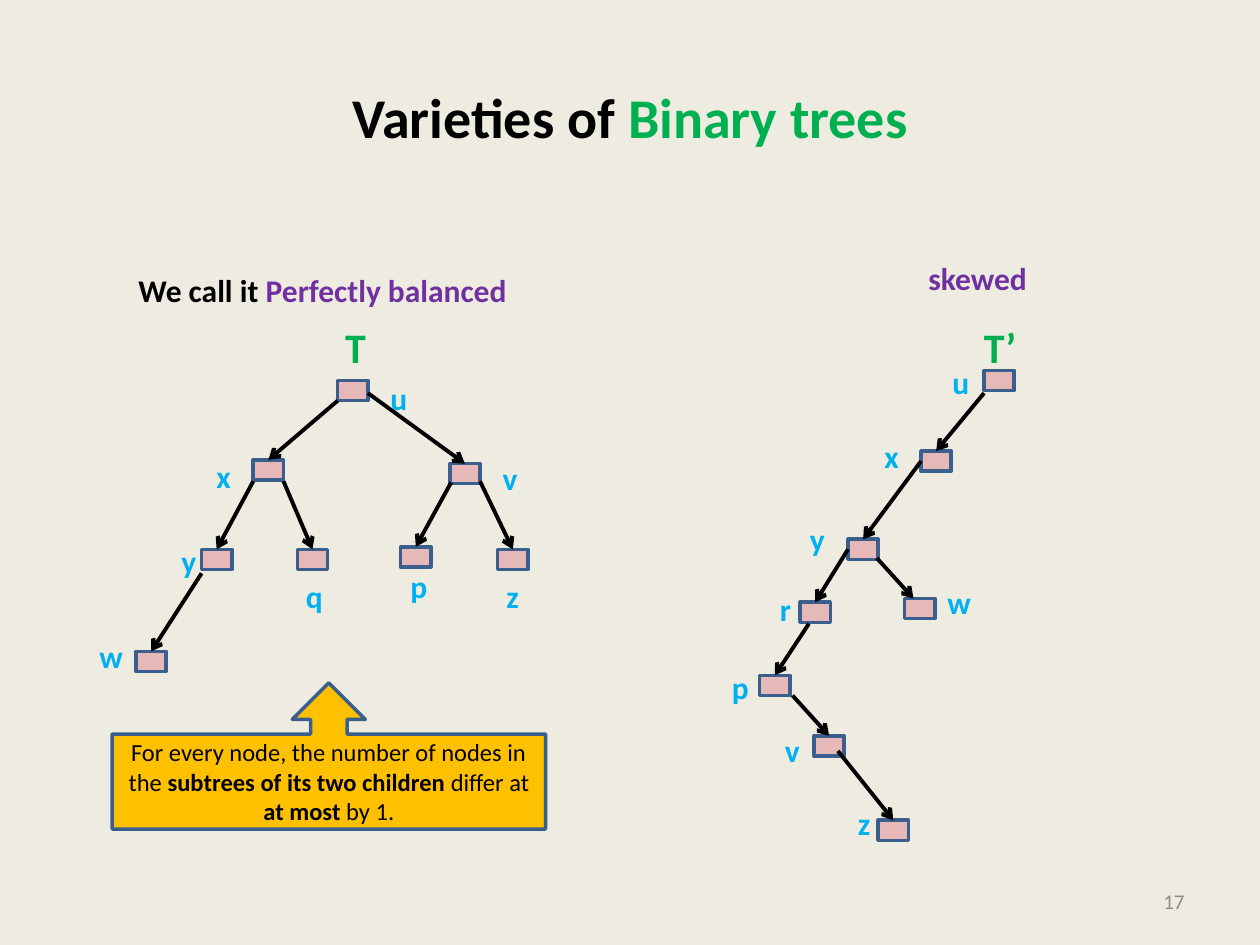
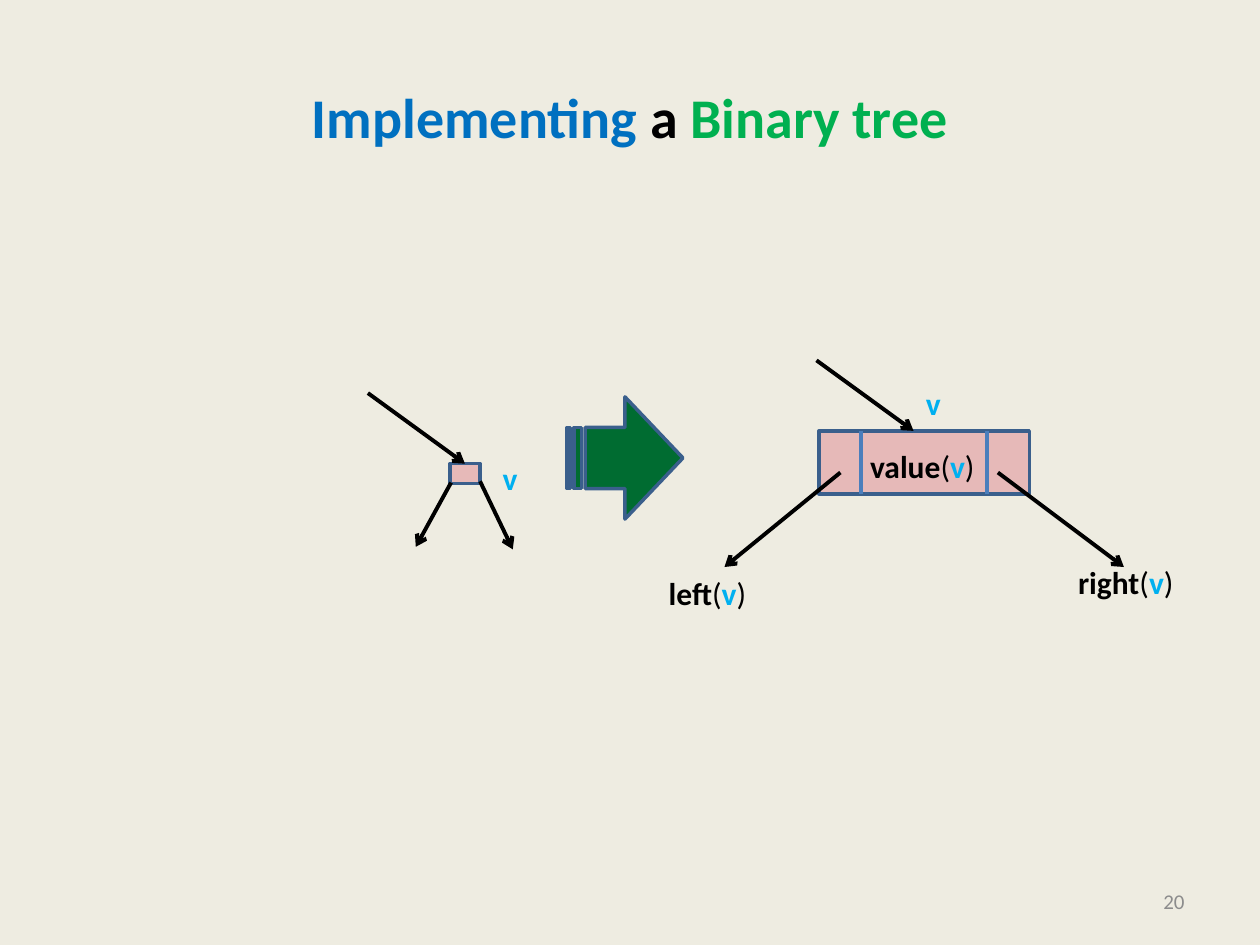
from dataclasses import dataclass
from typing import NamedTuple, Optional, Union

from lxml.etree import SubElement
from pptx import Presentation
from pptx.dml.color import RGBColor
from pptx.enum.shapes import MSO_CONNECTOR, MSO_SHAPE
from pptx.enum.text import MSO_ANCHOR, MSO_AUTO_SIZE as AutoSize, PP_ALIGN as Align
from pptx.oxml.ns import qn
from pptx.shapes.autoshape import Shape
from pptx.shapes.connector import Connector
from pptx.slide import Slide
from pptx.text.text import TextFrame
from pptx.util import Inches, Pt


@dataclass(frozen=True)
class Theme:
    font: str = "Calibri"
    background: str = "EEECE1"
    black: str = "000000"
    green: str = "00B050"
    blue: str = "0070C0"
    purple: str = "7030A0"
    label: str = "00B0F0"
    number: str = "8C8C8C"
    node: str = "E6B9B8"
    outline: str = "3A5F8C"
    divider: str = "4B7EBC"
    callout: str = "FFC000"
    block_arrow: str = "006C31"
    title_size: float = 32
    tree_size: float = 24
    body_size: float = 18
    callout_size: float = 14
    number_size: float = 12
    outline_width: float = 2
    arrow_width: float = 2.25


THEME = Theme()
NODE_WIDTH, NODE_HEIGHT = 0.24, 0.16
LABEL_HEIGHT = 0.3
LABEL_WIDTHS = {"r": 0.22, "z": 0.23, "x": 0.24, "v": 0.25, "y": 0.25,
                "u": 0.26, "p": 0.26, "q": 0.26, "w": 0.39}
TOP, LEFT = 0, 1  # connection sites of a rectangle


class Box(NamedTuple):
    left: float
    top: float
    width: float
    height: float


class Point(NamedTuple):
    x: float
    y: float


class Run(NamedTuple):
    text: str
    color: str = THEME.black
    bold: bool = True


class Node(NamedTuple):
    name: str
    corner: Point
    label: Point


class Joint(NamedTuple):
    name: str
    site: int = TOP


class Arrow(NamedTuple):
    start: Union[Point, Joint]
    end: Union[Point, Joint]


class Tree(NamedTuple):
    nodes: list[Node]
    arrows: list[Arrow]


# Tree data
V_NODE = Node("v", Point(3.57, 3.68), Point(3.89, 3.59))
V_IN, V_LEFT, V_RIGHT = Point(2.92, 3.12), Point(3.58, 3.83), Point(3.81, 3.82)

BALANCED_TREE = Tree(
    [Node("u", Point(2.68, 3.02), Point(3, 2.96)),
     Node("x", Point(2.01, 3.65), Point(1.62, 3.58)),
     V_NODE,
     Node("y", Point(1.6, 4.36), Point(1.34, 4.25)),
     Node("q", Point(2.36, 4.36), Point(2.33, 4.53)),
     Node("p", Point(3.18, 4.34), Point(3.16, 4.45)),
     Node("z", Point(3.95, 4.36), Point(3.92, 4.53)),
     Node("w", Point(1.08, 5.17), Point(0.69, 5.01))],
    [Arrow(Point(2.68, 3.18), Joint("x")),
     Arrow(V_IN, Joint("v")),
     Arrow(Point(2.01, 3.82), Joint("y")),
     Arrow(Point(2.25, 3.82), Joint("q")),
     Arrow(V_LEFT, Joint("p")),
     Arrow(V_RIGHT, Joint("z")),
     Arrow(Point(1.6, 4.55), Joint("w"))])

SKEWED_TREE = Tree(
    [Node("u", Point(7.81, 2.94), Point(7.46, 2.83)),
     Node("x", Point(7.31, 3.58), Point(6.92, 3.42)),
     Node("y", Point(6.73, 4.28), Point(6.33, 4.08)),
     Node("r", Point(6.35, 4.78), Point(6.09, 4.63)),
     Node("w", Point(7.18, 4.75), Point(7.42, 4.58)),
     Node("p", Point(6.03, 5.36), Point(5.71, 5.25)),
     Node("v", Point(6.46, 5.84), Point(6.13, 5.75)),
     Node("z", Point(6.97, 6.51), Point(6.71, 6.33))],
    [Arrow(Point(7.81, 3.12), Joint("x")),
     Arrow(Joint("x", LEFT), Joint("y")),
     Arrow(Joint("y", LEFT), Joint("r")),
     Arrow(Point(6.96, 4.43), Point(7.25, 4.75)),
     Arrow(Point(6.42, 4.95), Joint("p")),
     Arrow(Point(6.29, 5.52), Joint("v")),
     Arrow(Point(6.65, 5.96), Joint("z"))])

SINGLE_NODE = Tree(
    [V_NODE],
    [Arrow(V_IN, Joint("v")),
     Arrow(V_LEFT, Point(3.3, 4.34)),
     Arrow(V_RIGHT, Point(4.07, 4.36))])


# Drawing functions
def rgb(color: str) -> RGBColor:
    return RGBColor.from_string(color)


def write(frame: TextFrame, runs: list[Run], *, size: float = THEME.body_size,
          align: Align = Align.LEFT, anchor: MSO_ANCHOR = MSO_ANCHOR.TOP) -> None:
    frame.vertical_anchor = anchor
    paragraph = frame.paragraphs[0]
    paragraph.alignment = align
    for part in runs:
        run = paragraph.add_run()
        run.text = part.text
        run.font.name = THEME.font
        run.font.size = Pt(size)
        run.font.bold = part.bold
        run.font.color.rgb = rgb(part.color)


def place(box: Box) -> list[int]:
    return [Inches(length) for length in box]


def add_label(slide: Slide, box: Box, runs: list[Run], *, wrap: bool = False,
              **text_format) -> None:
    frame = slide.shapes.add_textbox(*place(box)).text_frame
    frame.word_wrap = wrap
    frame.auto_size = AutoSize.NONE if wrap else AutoSize.SHAPE_TO_FIT_TEXT
    write(frame, runs, **text_format)


def add_filled(slide: Slide, kind: MSO_SHAPE, box: Box, fill: str) -> Shape:
    shape = slide.shapes.add_shape(kind, *place(box))
    shape.shadow.inherit = False
    shape.fill.solid()
    shape.fill.fore_color.rgb = rgb(fill)
    shape.line.color.rgb = rgb(THEME.outline)
    shape.line.width = Pt(THEME.outline_width)
    return shape


def add_line(slide: Slide, start: Point, end: Point, *, color: str = THEME.black,
             arrowhead: bool = True) -> Connector:
    connector = slide.shapes.add_connector(
        MSO_CONNECTOR.STRAIGHT, *[Inches(length) for length in (*start, *end)])
    connector.line.color.rgb = rgb(color)
    connector.line.width = Pt(THEME.arrow_width)
    properties = connector.element.spPr
    if arrowhead:
        SubElement(properties.find(qn("a:ln")), qn("a:tailEnd"), type="arrow")
    SubElement(properties, qn("a:effectLst"))
    return connector


def add_node_label(slide: Slide, name: str, corner: Point) -> None:
    add_label(slide, Box(*corner, LABEL_WIDTHS[name], LABEL_HEIGHT),
              [Run(name, THEME.label)])


def add_tree(slide: Slide, tree: Tree) -> None:
    corners = {node.name: node.corner for node in tree.nodes}
    shapes = {name: add_filled(slide, MSO_SHAPE.RECTANGLE,
                               Box(*corner, NODE_WIDTH, NODE_HEIGHT), THEME.node)
              for name, corner in corners.items()}
    for arrow in tree.arrows:
        start, end = (corners[tip.name] if isinstance(tip, Joint) else tip
                      for tip in arrow)
        connector = add_line(slide, start, end)
        if isinstance(arrow.start, Joint):
            connector.begin_connect(shapes[arrow.start.name], arrow.start.site)
        if isinstance(arrow.end, Joint):
            connector.end_connect(shapes[arrow.end.name], arrow.end.site)
    for node in tree.nodes:
        add_node_label(slide, node.name, node.label)


def add_field(slide: Slide, name: str, box: Box) -> None:
    """Write a field of the node v, such as left(v)."""
    add_label(slide, box, [Run(name), Run("(", bold=False), Run("v", THEME.label),
                           Run(")", bold=False)], wrap=True, align=Align.CENTER)


def add_titled_slide(presentation: Presentation, title_runs: list[Run],
                     number: int) -> Slide:
    slide = presentation.slides.add_slide(presentation.slide_layouts[5])
    title = slide.shapes.title
    title.left, title.top, title.width, title.height = place(Box(0.5, 0.3, 9, 1.25))
    write(title.text_frame, title_runs, size=THEME.title_size,
          align=Align.CENTER, anchor=MSO_ANCHOR.MIDDLE)
    add_label(slide, Box(7.17, 6.95, 2.33, 0.4),
              [Run(str(number), THEME.number, bold=False)], wrap=True,
              size=THEME.number_size, align=Align.RIGHT, anchor=MSO_ANCHOR.MIDDLE)
    return slide


# Slides
def build_varieties(presentation: Presentation) -> None:
    slide = add_titled_slide(
        presentation, [Run("Varieties of "), Run("Binary trees", THEME.green)], 17)
    add_label(slide, Box(1, 2.1, 3.15, 0.4),
              [Run("We call it "), Run("Perfectly balanced", THEME.purple)])
    add_label(slide, Box(7.27, 2.01, 0.99, 0.4), [Run("skewed", THEME.purple)])
    for tree, name, box in (
            (BALANCED_TREE, "T", Box(2.64, 2.5, 0.37, 0.5)),
            (SKEWED_TREE, "T’", Box(7.71, 2.5, 0.46, 0.5))):
        add_tree(slide, tree)
        add_label(slide, box, [Run(name, THEME.green)], size=THEME.tree_size)

    callout = add_filled(slide, MSO_SHAPE.UP_ARROW_CALLOUT,
                         Box(0.89, 5.42, 3.44, 1.16), THEME.callout)
    write(callout.text_frame,
          [Run("For every node, the number of nodes in the ", bold=False),
           Run("subtrees of its two children "),
           Run("differ at ", bold=False),
           Run("at most"),
           Run(" by 1.", bold=False)],
          size=THEME.callout_size, align=Align.CENTER, anchor=MSO_ANCHOR.MIDDLE)


def build_implementation(presentation: Presentation) -> None:
    slide = add_titled_slide(
        presentation, [Run("Implementing", THEME.blue), Run(" a "),
                       Run("Binary tree", THEME.green)], 20)
    add_tree(slide, SINGLE_NODE)
    add_filled(slide, MSO_SHAPE.STRIPED_RIGHT_ARROW, Box(4.5, 3.15, 0.92, 0.97),
               THEME.block_arrow)

    # Record with its value and two links
    record = Box(6.5, 3.42, 1.67, 0.5)
    add_filled(slide, MSO_SHAPE.RECTANGLE, record, THEME.node)
    for x in (6.83, 7.83):
        add_line(slide, Point(x, record.top), Point(x, record.top + record.height),
                 color=THEME.divider, arrowhead=False)
    for start, end in ((Point(6.48, 2.86), Point(7.25, record.top)),
                       (Point(6.67, 3.75), Point(5.75, 4.5)),
                       (Point(7.92, 3.75), Point(8.92, 4.5))):
        add_line(slide, start, end)
    add_node_label(slide, "v", Point(7.25, 3))
    for name, box in (("value", Box(6.8, 3.5, 1.04, 0.4)),
                      ("left", Box(5.2, 4.51, 0.83, 0.4)),
                      ("right", Box(8.45, 4.42, 0.97, 0.4))):
        add_field(slide, name, box)


def main() -> None:
    presentation = Presentation()
    presentation.slide_width, presentation.slide_height = Inches(10), Inches(7.5)
    background = presentation.slide_master.background.fill
    background.solid()
    background.fore_color.rgb = rgb(THEME.background)
    build_varieties(presentation)
    build_implementation(presentation)
    presentation.save("out.pptx")


if __name__ == "__main__":
    main()
